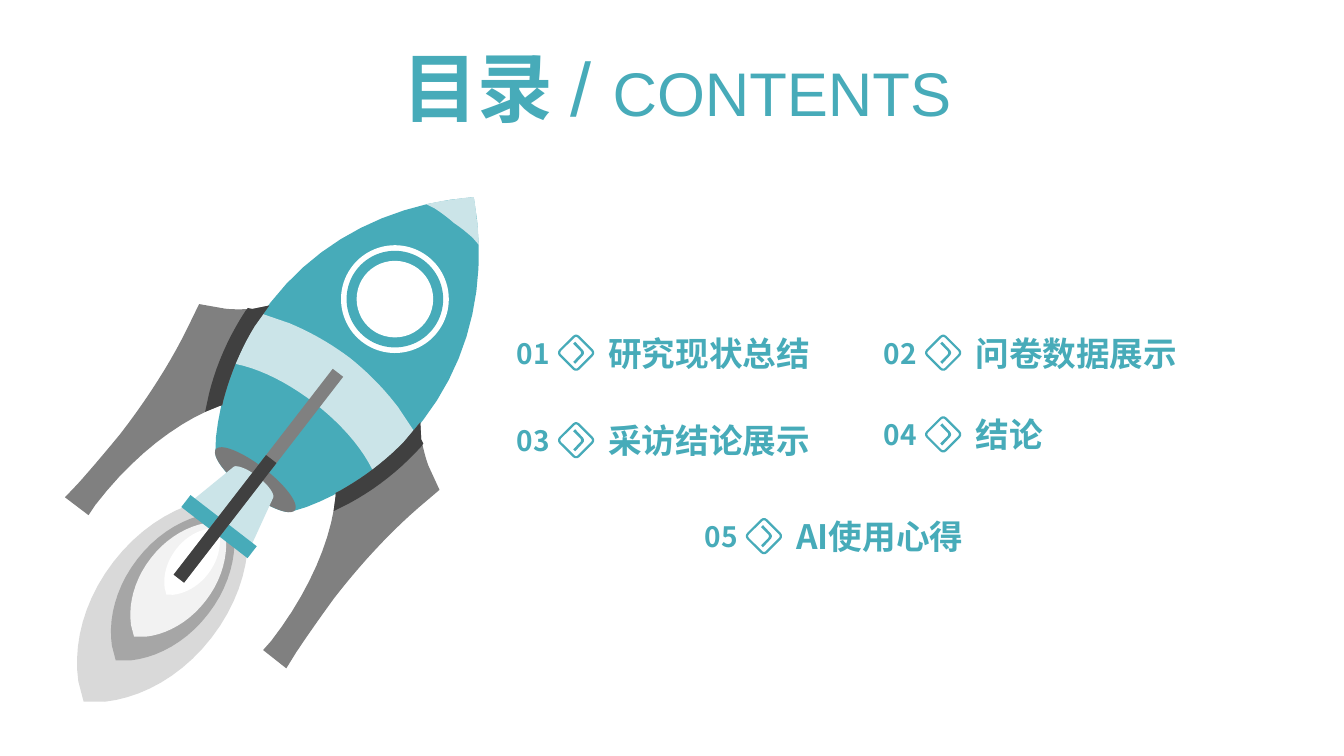
from math import cos, radians, sin

from lxml.etree import SubElement
from pptx import Presentation
from pptx.dml.color import RGBColor
from pptx.enum.shapes import MSO_SHAPE
from pptx.enum.text import MSO_ANCHOR, MSO_AUTO_SIZE, PP_ALIGN
from pptx.oxml.ns import qn
from pptx.util import Pt

HUES = {"teal": "47ABB9", "pale": "CBE4E8", "white": "FFFFFF", "gray": "808080",
        "dark": "404040", "base": "797979", "smoke": "D9D9D9", "ash": "A6A6A6",
        "mist": "F2F2F2"}
CJK = "Noto Sans CJK SC"
TILT = 37.7

BODY = [(0, 0), (42.6, 38.5, 68.8, 90.1, 68.8, 148.2),
        (68.8, 184.6, 59, 218.7, 40.8, 248.3), (35.2, 256.2), (32.8, 259),
        (28, 262.5, 15, 265.5, 0, 265.5)]
NOSE = [(0, 0), (5.8, 5.1, 10.5, 10.5, 15.7, 15.6), (23.8, 24.8), (17.3, 23.5),
        (11.7, 23, 5.5, 22.9, 0, 23.3)]
BAND = [(0, 145), (17.6, 145.2, 34.2, 147.8, 49.1, 151.8), (68.6, 158.4),
        (68.4, 161.4), (67.1, 175.2), (62.1, 198.1), (61.1, 198),
        (45.1, 190.3, 23.6, 186, 0, 186)]
NOZZLE = [(0, 252.3), (10, 252.3, 17.9, 255, 18, 257.7), (26.6, 294.7), (0, 294.7)]
FLAME = [(0, -1), (0.27, -0.9), (0.7, -0.7, 1, -0.38, 1, 0),
         (1, 0.38, 0.7, 0.7, 0.27, 0.9), (0, 1)]
EDGE = [(68.2, 150.6), (67.5, 168.6), (65.4, 188.3, 60, 207.1, 52.6, 224.6),
        (51.2, 227.5), (52.5, 229.2)]
FIN = EDGE + [(69.1, 255.5, 79.5, 294.8, 79.4, 339.4), (78.8, 348), (99.9, 348.2),
              (98.5, 334.7), (97.4, 319.2, 96.8, 304.2, 96.3, 288.2),
              (96.3, 256.4, 99.1, 225.9, 104.6, 198.9), (108.5, 180.4),
              (91.7, 171.6), (86.5, 168.4, 81.4, 164.2, 76.2, 159.9)]
SHADE = EDGE + [(58, 238.7), (63.6, 227), (72.2, 207.6, 77.5, 186.3, 79.3, 163.9),
                (79.2, 161.3), (76.2, 159.9)]
ARROW = [(-0.7, -7.9), (4.6, -2.2), (6, -0.7, 6, 0.7, 4.6, 2.2), (-0.7, 7.9),
         (-2.1, 6.5), (3, 1.4), (3.7, 0.7, 3.7, -0.7, 3, -1.4), (-2.1, -6.5)]


def trace(steps, count=10):
    """Turn points and cubic curves into a list of points."""
    dots = []
    for step in steps:
        if len(step) == 2:
            dots.append(step)
            continue
        a, b, c, d = dots[-1], step[:2], step[2:4], step[4:]
        for n in range(1, count + 1):
            t = n / count
            s = 1 - t
            dots.append(tuple(s**3 * a[i] + 3 * s * s * t * b[i]
                              + 3 * s * t * t * c[i] + t**3 * d[i] for i in (0, 1)))
    return dots


def flip(dots):
    """Mirror points across the upright axis."""
    return [(-x, y) for x, y in dots]


def paint(shape, hue):
    """Give a shape a plain fill."""
    shape.shadow.inherit = False
    shape.fill.solid()
    shape.fill.fore_color.rgb = RGBColor.from_string(HUES[hue])
    shape.line.fill.background()


def draw(group, dots, hue, spot, tilt=0):
    """Draw a closed outline turned about a spot."""
    c, s = cos(radians(tilt)), sin(radians(tilt))
    ends = [(Pt(spot[0] + x * c - y * s), Pt(spot[1] + x * s + y * c)) for x, y in dots]
    form = group.shapes.build_freeform(*ends[0], scale=1.0)
    form.add_line_segments(ends[1:], close=True)
    paint(form.convert_to_shape(), hue)


def rocket(slide, box):
    """Draw the rocket with its tip at the top right of the box."""
    left, top, width, _ = box
    tip = (left + width, top)
    group = slide.shapes.add_group_shape()

    def whole(steps, hue):
        """Draw a part from its right half."""
        half = trace(steps)
        draw(group, half + flip(half)[::-1], hue, tip, TILT)

    def preset(kind, y, w, h, hue):
        """Place a preset shape on the axis."""
        x = tip[0] - y * sin(radians(TILT))
        y = tip[1] + y * cos(radians(TILT))
        part = group.shapes.add_shape(kind, Pt(x - w / 2), Pt(y - h / 2), Pt(w), Pt(h))
        part.rotation = TILT
        paint(part, hue)

    whole(BODY, "teal")
    for y, w, hue in ((363.4, 44.3, "smoke"), (351.6, 32, "ash"),
                      (345.2, 24.8, "mist"), (329, 14.4, "white")):
        whole([tuple(n * w if i % 2 == 0 else y + n * w * 2.08
                     for i, n in enumerate(step)) for step in FLAME], hue)
    preset(MSO_SHAPE.OVAL, 255.1, 71.3, 20.2, "base")
    whole(BAND, "pale")
    whole(NOSE, "pale")
    for size, hue in ((77, "white"), (69, "teal"), (54.7, "white")):
        preset(MSO_SHAPE.OVAL, 92.1, size, size, hue)
    whole(NOZZLE, "pale")
    for y, w, h, hue in ((297.5, 59.8, 10.8, "teal"), (251.5, 9.4, 185.8, "gray"),
                         (290.5, 9.4, 108, "dark")):
        preset(MSO_SHAPE.RECTANGLE, y, w, h, hue)
    for steps, hue in ((FIN, "gray"), (SHADE, "dark")):
        side = trace(steps)
        for dots in (side, flip(side)):
            draw(group, dots, hue, tip, TILT)


def write(para, text, size, face=CJK, bold=True):
    """Add one run of teal text."""
    run = para.add_run()
    run.text = text
    font = run.font
    font.size, font.name, font.bold = Pt(size), face, bold
    font.color.rgb = RGBColor.from_string(HUES["teal"])
    SubElement(run._r.get_or_add_rPr(), qn("a:ea")).set("typeface", CJK)


def label(slide, box, text, size, wrap):
    """Place a line of bold text."""
    frame = slide.shapes.add_textbox(*map(Pt, box)).text_frame
    frame.word_wrap = wrap
    write(frame.paragraphs[0], text, size)


def icon(slide, box):
    """Draw a diamond with an arrow in the middle of the box."""
    left, top, width, height = box
    mid = (left + width / 2, top + height / 2)
    side = 18.6
    group = slide.shapes.add_group_shape()
    gem = group.shapes.add_shape(MSO_SHAPE.ROUNDED_RECTANGLE, Pt(mid[0] - side / 2),
                                 Pt(mid[1] - side / 2), Pt(side), Pt(side))
    gem.adjustments[0] = 0.13
    gem.rotation = 45
    gem.shadow.inherit = False
    gem.fill.background()
    gem.line.width = Pt(1.6)
    gem.line.color.rgb = RGBColor.from_string(HUES["teal"])
    draw(group, trace(ARROW), "teal", mid)


def entry(slide, box, number, text):
    """Place a number, an icon and a topic in the box."""
    left, top, width, height = box
    label(slide, (left, top + 2.7, 39.6, 31.5), number, 20, False)
    icon(slide, (left + 36, top + 4.5, 27, 27))
    label(slide, (left + 65.5, top, width - 65.5, height), text, 24, True)


def head(slide, box):
    """Fill the title placeholder."""
    title = slide.shapes.title
    title.left, title.top, title.width, title.height = map(Pt, box)
    frame = title.text_frame
    frame.auto_size = MSO_AUTO_SIZE.NONE
    frame.word_wrap = True
    frame.vertical_anchor = MSO_ANCHOR.TOP
    para = frame.paragraphs[0]
    para.alignment = PP_ALIGN.CENTER
    write(para, "目录 ", 54, "Arial")
    write(para, "/ ", 54, "Arial", False)
    write(para, "CONTENTS", 44, "Arial", False)


def main():
    """Build the contents slide."""
    deck = Presentation()
    deck.slide_width, deck.slide_height = Pt(960), Pt(540)
    slide = deck.slides.add_slide(deck.slide_layouts[5])
    head(slide, (237.6, 25.9, 491.8, 72.7))
    rocket(slide, (47, 140.8, 291.4, 365))
    topics = ((362, 234, "研究现状总结"), (624.2, 234, "问卷数据展示"),
              (362, 296.5, "采访结论展示"), (624.2, 292.3, "结论"),
              (496.2, 365, "AI使用心得"))
    for n, (x, y, text) in enumerate(topics, 1):
        entry(slide, (x, y, 250, 36), f"{n:02}", text)
    deck.save("out.pptx")


if __name__ == "__main__":
    main()
